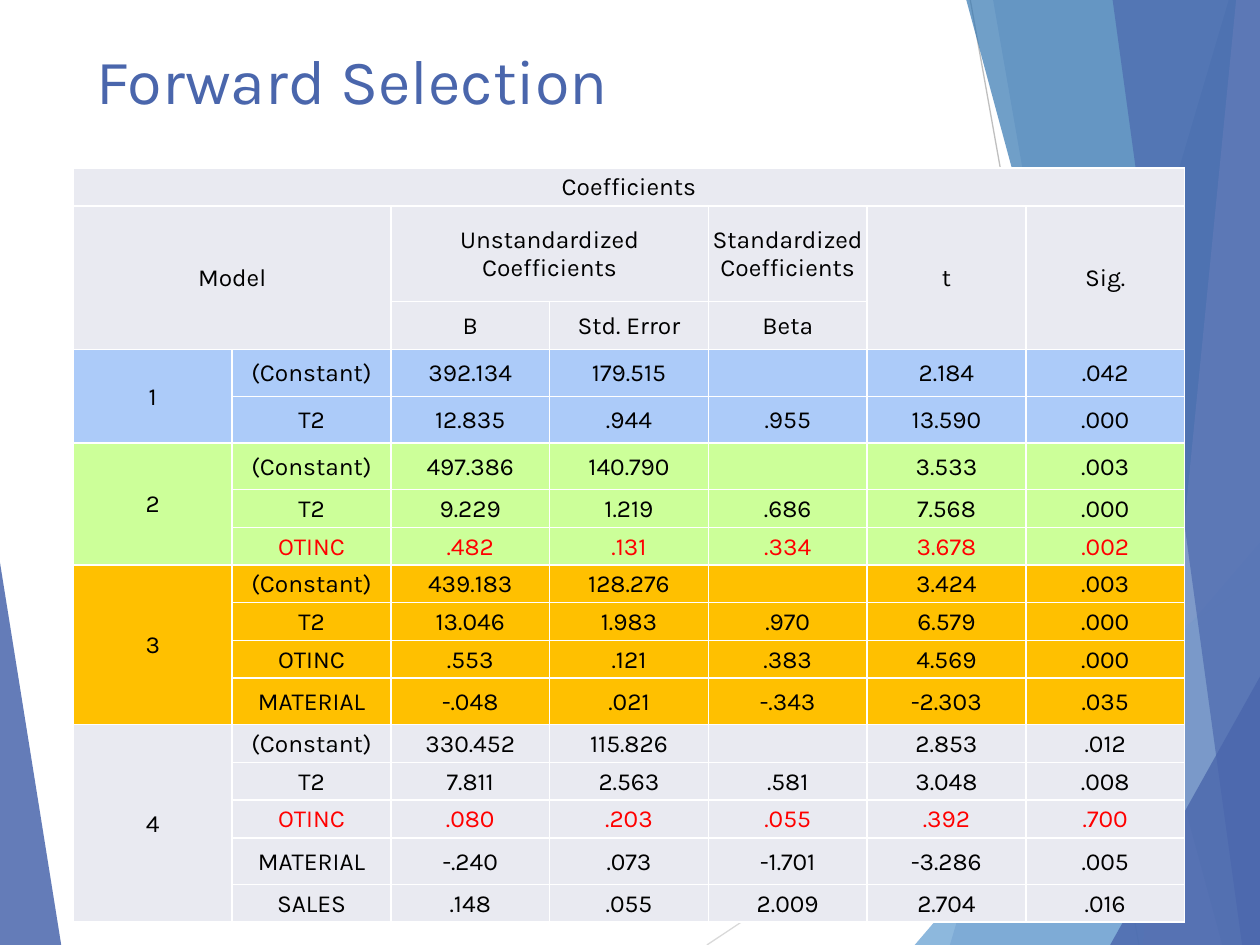
"""Build the Forward Selection slide with its table of regression coefficients."""
from lxml.etree import SubElement
from pptx import Presentation
from pptx.dml.color import RGBColor
from pptx.enum.shapes import MSO_CONNECTOR
from pptx.enum.text import MSO_ANCHOR, PP_ALIGN
from pptx.oxml.ns import qn
from pptx.util import Cm, Pt

FONT = "Karla"
BLACK = RGBColor(0x00, 0x00, 0x00)
RED = RGBColor(0xFF, 0x00, 0x00)
WHITE = RGBColor(0xFF, 0xFF, 0xFF)
INDIGO = RGBColor(0x4A, 0x66, 0xAC)
SKY = RGBColor(0x62, 0x9D, 0xD1)
STEEL = RGBColor(0x34, 0x77, 0xB2)
LAVENDER = RGBColor(0x90, 0xA2, 0xCF)
SILVER = RGBColor(0xD9, 0xD9, 0xD9)
GRAY = RGBColor(0xBF, 0xBF, 0xBF)
PALE = RGBColor(0xE9, 0xEA, 0xF1)
BLUE = RGBColor(0xAC, 0xCB, 0xF9)
GREEN = RGBColor(0xCC, 0xFF, 0x99)
ORANGE = RGBColor(0xFF, 0xC0, 0x00)


def write_text(frame, text, size=14, color=BLACK, alignment=PP_ALIGN.CENTER):
    paragraph = frame.paragraphs[0]
    paragraph.alignment = alignment
    if text:
        run = paragraph.add_run()
        run.text = text
        run.font.name = FONT
        run.font.size = Pt(size)
        run.font.color.rgb = color
    else:
        SubElement(paragraph._p, qn("a:endParaRPr"), sz=str(size * 100))


def add_facet(shapes, points, color, opacity):
    corners = [(Cm(x), Cm(y)) for x, y in points]
    builder = shapes.build_freeform(*corners[0])
    builder.add_line_segments(corners[1:], close=True)
    shape = builder.convert_to_shape()
    shape.shadow.inherit = False
    shape.line.fill.background()
    shape.fill.solid()
    shape.fill.fore_color.rgb = color
    color_element = shape._element.spPr.find(f"{qn('a:solidFill')}/{qn('a:srgbClr')}")
    SubElement(color_element, qn("a:alpha"), val=str(opacity * 1000))


presentation = Presentation()
presentation.slide_width = Cm(25.4)
presentation.slide_height = Cm(19.05)
slide = presentation.slides.add_slide(presentation.slide_layouts[6])

left_facet = [(-0.03, 11.15), (1.24, 19.08), (-0.03, 19.05)]
add_facet(slide.shapes, left_facet, INDIGO, 85)

for start_x, start_y, end_x, end_y, color in [
    (14.25, 19.05, 25.43, 11.61, SILVER),
    (19.56, 0, 22.96, 19.05, GRAY),
]:
    connector = slide.shapes.add_connector(
        MSO_CONNECTOR.STRAIGHT, Cm(start_x), Cm(start_y), Cm(end_x), Cm(end_y))
    connector.line.color.rgb = color
    connector.line.width = Pt(0.75)
    SubElement(connector._element.spPr, qn("a:effectLst"))

right_facets = [
    (24.77, 0, 19.15, INDIGO, 30),
    (20.02, 0, 23.34, INDIGO, 20),
    (25.43, 10.9, 18.44, SKY, 72),
    (19.48, 0, 24.64, STEEL, 70),
    (24.92, 0, 23.04, LAVENDER, 70),
    (22.43, 0, 25.04, INDIGO, 65),
    (25.43, 13.59, 22.38, INDIGO, 80),
]
for top_x, top_y, bottom_x, color, opacity in right_facets:
    points = [(top_x, top_y), (bottom_x, 19.05), (25.43, 19.05), (25.43, top_y)]
    add_facet(slide.shapes, points, color, opacity)

title = slide.shapes.add_textbox(Cm(1.7), Cm(0.64), Cm(17.63), Cm(1.9))
title.text_frame.word_wrap = True
title.text_frame.vertical_anchor = MSO_ANCHOR.MIDDLE
write_text(title.text_frame, "Forward Selection", size=36, color=INDIGO,
           alignment=PP_ALIGN.LEFT)

header_rows = [
    ["Coefficients", "", "", "", "", "", ""],
    ["Model", "", "Unstandardized Coefficients", "", "Standardized Coefficients", "t", "Sig."],
    ["", "", "B", "Std. Error", "Beta", "", ""],
]
models = [
    (BLUE, [
        ["(Constant)", "392.134", "179.515", "", "2.184", ".042"],
        ["T2", "12.835", ".944", ".955", "13.590", ".000"],
    ]),
    (GREEN, [
        ["(Constant)", "497.386", "140.790", "", "3.533", ".003"],
        ["T2", "9.229", "1.219", ".686", "7.568", ".000"],
        ["OTINC", ".482", ".131", ".334", "3.678", ".002"],
    ]),
    (ORANGE, [
        ["(Constant)", "439.183", "128.276", "", "3.424", ".003"],
        ["T2", "13.046", "1.983", ".970", "6.579", ".000"],
        ["OTINC", ".553", ".121", ".383", "4.569", ".000"],
        ["MATERIAL", "-.048", ".021", "-.343", "-2.303", ".035"],
    ]),
    (PALE, [
        ["(Constant)", "330.452", "115.826", "", "2.853", ".012"],
        ["T2", "7.811", "2.563", ".581", "3.048", ".008"],
        ["OTINC", ".080", ".203", ".055", ".392", ".700"],
        ["MATERIAL", "-.240", ".073", "-1.701", "-3.286", ".005"],
        ["SALES", ".148", ".055", "2.009", "2.704", ".016"],
    ]),
]
highlighted_rows = {7, 14}
row_heights = [0.76, 1.93, 0.97] + [0.94] * 3 + [0.76] * 5 + [0.94] + [0.76] * 3 + [0.94, 0.76]

rows = [(PALE, values) for values in header_rows]
merges = [(0, 0, 0, 6), (1, 0, 2, 1), (1, 2, 1, 3), (1, 5, 2, 5), (1, 6, 2, 6)]
for number, (fill, predictors) in enumerate(models, start=1):
    merges.append((len(rows), 0, len(rows) + len(predictors) - 1, 0))
    for index, values in enumerate(predictors):
        rows.append((fill, ["" if index else str(number)] + values))

table = slide.shapes.add_table(
    len(rows), 7, Cm(1.48), Cm(3.39), Cm(22.4), Cm(sum(row_heights))).table
table.first_row = False
table.horz_banding = False
for column in table.columns:
    column.width = Cm(3.2)
for row, height in zip(table.rows, row_heights):
    row.height = Cm(height)

for row_index, (fill, values) in enumerate(rows):
    for column_index, text in enumerate(values):
        cell = table.cell(row_index, column_index)
        cell.vertical_anchor = MSO_ANCHOR.MIDDLE
        cell.margin_left = cell.margin_right = cell.margin_top = Cm(0.03)
        cell.margin_bottom = 0
        for side in ("a:lnL", "a:lnR", "a:lnT", "a:lnB"):
            border = SubElement(cell._tc.tcPr, qn(side), w=str(Pt(1)))
            border_fill = SubElement(border, qn("a:solidFill"))
            SubElement(border_fill, qn("a:srgbClr"), val=str(WHITE))
        cell.fill.solid()
        cell.fill.fore_color.rgb = fill
        highlighted = row_index in highlighted_rows
        write_text(cell.text_frame, text, color=RED if highlighted else BLACK)

for top, left, bottom, right in merges:
    table.cell(top, left).merge(table.cell(bottom, right))

presentation.save("out.pptx")
